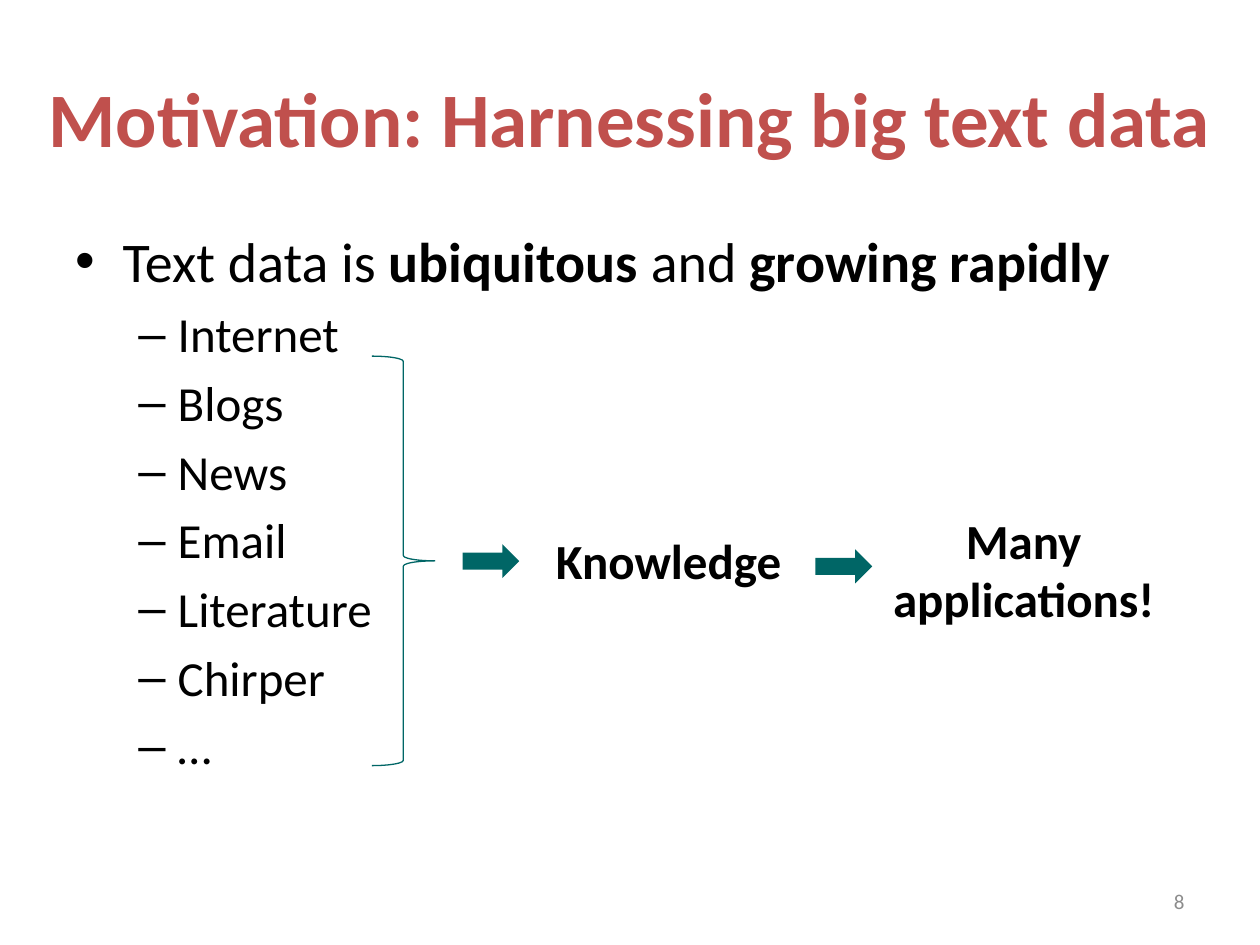
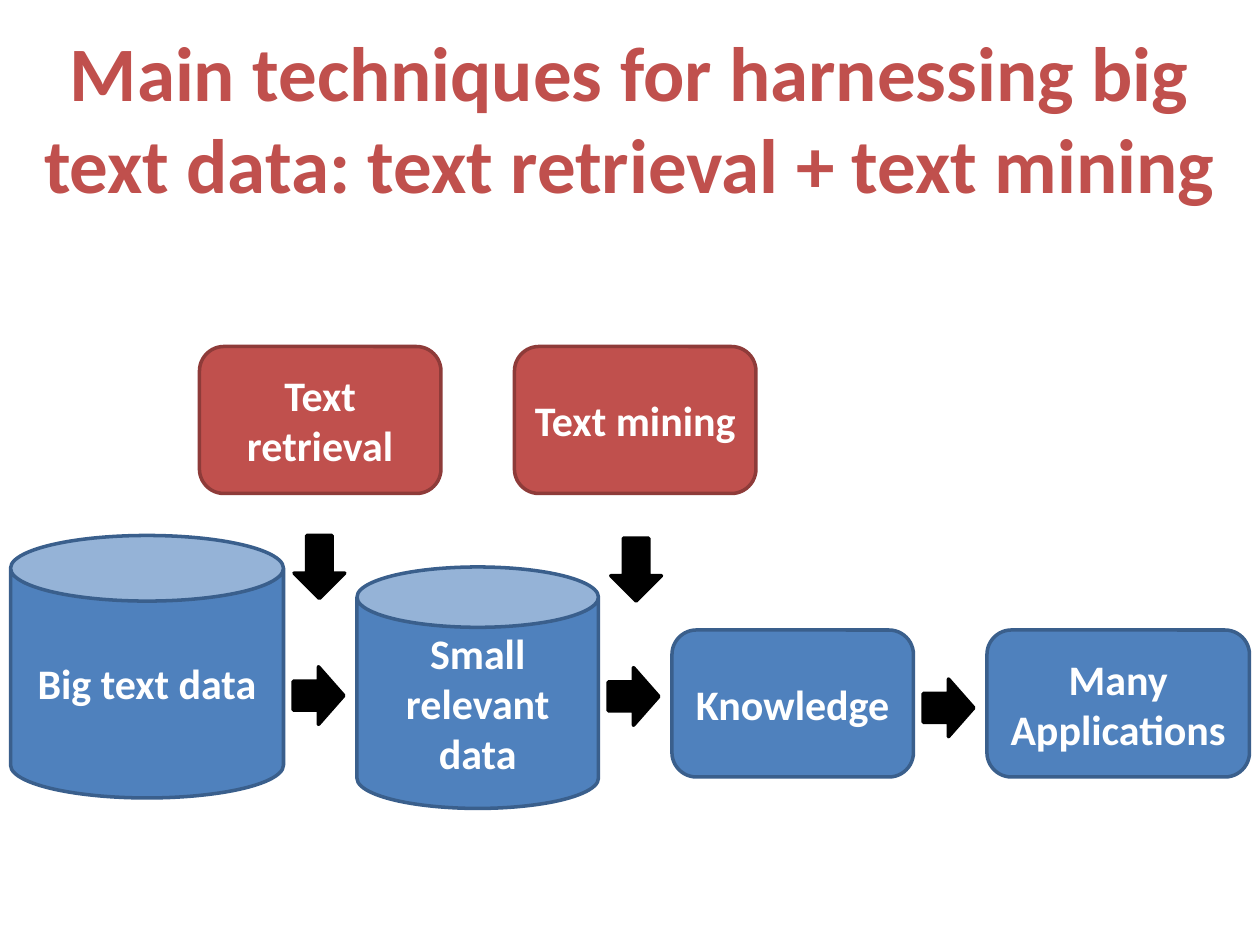
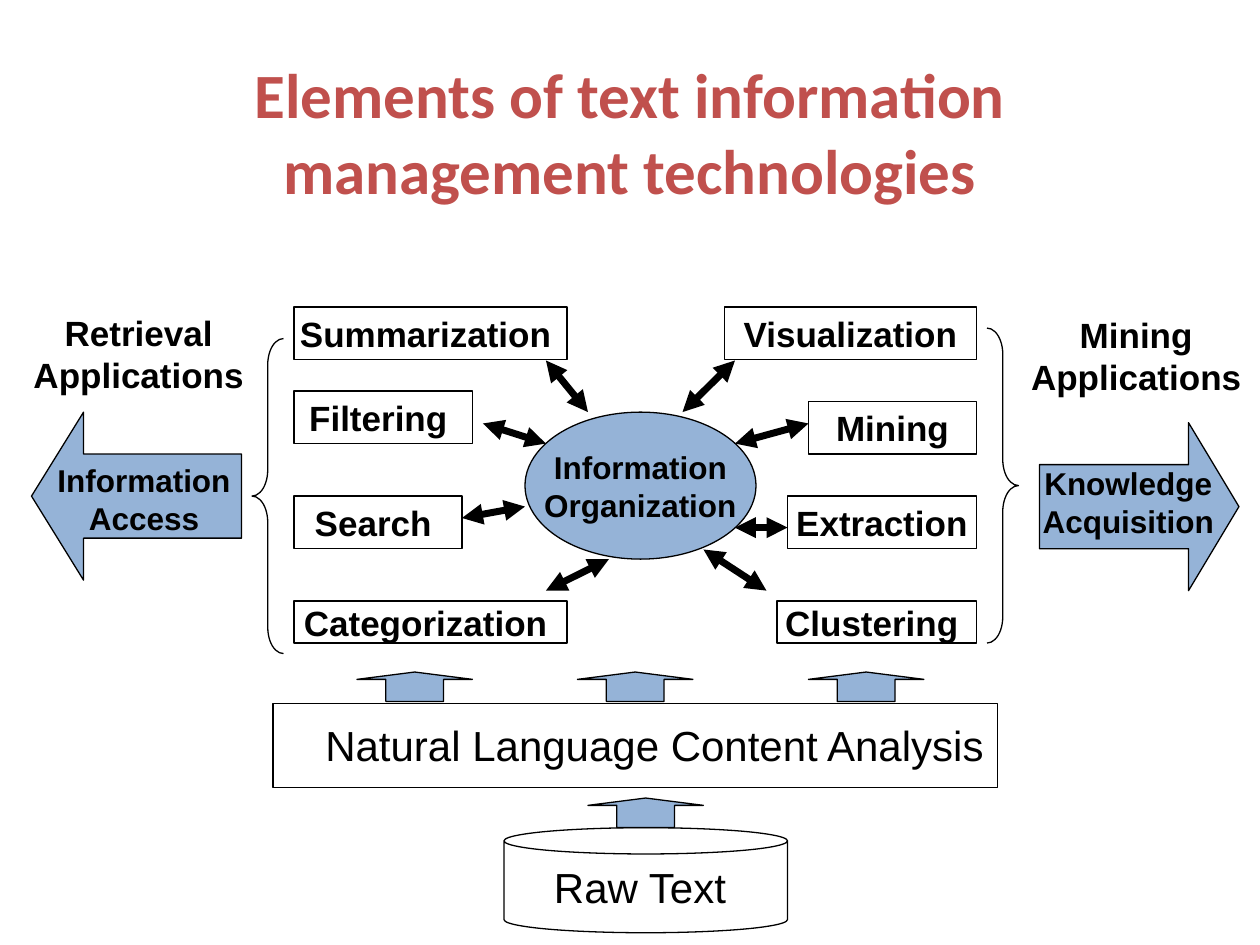
import functools

import lxml.etree
import pptx
import pptx.dml.color
import pptx.enum.shapes
import pptx.enum.text
import pptx.oxml.ns
import pptx.util

Pt = pptx.util.Pt
qn = pptx.oxml.ns.qn
SHAPES = pptx.enum.shapes.MSO_SHAPE
ALIGN = pptx.enum.text.PP_ALIGN
ANCHOR = pptx.enum.text.MSO_ANCHOR

RED, DARK_RED = "C0504D", "8E3B39"
BLUE, DARK_BLUE = "4F81BD", "3A5F8C"
TEAL, BLACK, WHITE, GRAY = "006666", "000000", "FFFFFF", "8C8C8C"


def paint(fill, color, opacity=100):
    if color is None:
        fill.background()
        return
    fill.solid()
    fill.fore_color.rgb = pptx.dml.color.RGBColor.from_string(color)
    if opacity < 100:
        rgb = fill._xPr.find(qn("a:solidFill"))[0]
        lxml.etree.SubElement(rgb, qn("a:alpha"), val=str(opacity * 1000))


def add(slide, box, text="", kind=None, fill=None, opacity=100, line=None, line_width=0.75,
        adjust=(), size=24, font="Calibri", color=BLACK, bold=False, align=ALIGN.CENTER,
        anchor=ANCHOR.MIDDLE, wrap=True):
    frame = [Pt(length) for length in box]
    if kind is None:
        item = slide.shapes.add_textbox(*frame)
    else:
        item = slide.shapes.add_shape(kind, *frame)
        item.shadow.inherit = False
        paint(item.fill, fill, opacity)
        paint(item.line.fill, line)
        if line:
            item.line.width = Pt(line_width)
        for index, value in enumerate(adjust):
            item.adjustments[index] = value
    if text:
        item.text_frame.word_wrap = wrap
        item.text_frame.vertical_anchor = anchor
        for index, words in enumerate(text.split("\n")):
            paragraph = item.text_frame.paragraphs[0] if index == 0 else item.text_frame.add_paragraph()
            paragraph.alignment = align
            for part, piece in enumerate(words.split("*")):
                if piece:
                    run = paragraph.add_run()
                    run.text = piece
                    run.font.name = font
                    run.font.size = Pt(size)
                    run.font.bold = bold or part % 2 == 1
                    paint(run.font.fill, color)
    return item


deck = pptx.Presentation()
deck.slide_width, deck.slide_height = Pt(720), Pt(540)
titles = [
    ("Motivation: Harnessing big text data", (6, 21.6, 708, 90), 44),
    ("Main techniques for harnessing big text data: text retrieval + text mining", (0, 21.6, 720, 90), 44),
    ("Elements of text information management technologies", (36, 30, 648, 90), 36),
]
slides = []
for title, box, size in titles:
    slide = deck.slides.add_slide(deck.slide_layouts[6])
    add(slide, box, title, size=size, color=RED, bold=True)
    slides.append(slide)
motivation, techniques, elements = slides

sources = add(motivation, (36, 126, 648, 356.4),
              "Text data is *ubiquitous* and *growing rapidly*\n"
              "Internet\nBlogs\nNews\nEmail\nLiterature\nChirper\n…",
              size=28, align=ALIGN.LEFT, anchor=ANCHOR.TOP)
for index, paragraph in enumerate(sources.text_frame.paragraphs):
    margin, hanging, bullet, space = (58.5, 22.5, "–", 5.6) if index else (27, 27, "•", 6)
    paragraph.level = min(index, 1)
    paragraph.space_before = Pt(space)
    properties = paragraph._p.get_or_add_pPr()
    properties.set("marL", str(Pt(margin)))
    properties.set("indent", str(-Pt(hanging)))
    lxml.etree.SubElement(properties, qn("a:buFont"), typeface="Arial")
    lxml.etree.SubElement(properties, qn("a:buChar"), char=bullet)
for run in sources.text_frame.paragraphs[0].runs:
    run.font.size = Pt(32)

add(motivation, (516, 500.4, 168, 28.8), "8", size=12, color=GRAY, align=ALIGN.RIGHT)
add(motivation, (310.5, 299.5, 154, 40), "Knowledge", size=28, bold=True,
    align=ALIGN.LEFT, anchor=ANCHOR.TOP)
add(motivation, (498, 288, 174, 75), "Many\napplications!", size=28, bold=True, anchor=ANCHOR.TOP)
add(motivation, (212.5, 203.5, 36, 234), kind=SHAPES.RIGHT_BRACE, line=TEAL)
for left, top in [(264.3, 311), (466, 314)]:
    add(motivation, (left, top, 32.4, 19.4), kind=SHAPES.RIGHT_ARROW, fill=TEAL)

stages = [
    ("Big text data", SHAPES.CAN, (6, 306, 156, 150), BLUE, DARK_BLUE),
    ("Small relevant data", SHAPES.CAN, (204, 324, 138, 138), BLUE, DARK_BLUE),
    ("Knowledge", SHAPES.ROUNDED_RECTANGLE, (384, 360, 138, 84), BLUE, DARK_BLUE),
    ("Many Applications", SHAPES.ROUNDED_RECTANGLE, (564, 360, 150, 84), BLUE, DARK_BLUE),
    ("Text retrieval", SHAPES.ROUNDED_RECTANGLE, (114, 198, 138, 84), RED, DARK_RED),
    ("Text mining", SHAPES.ROUNDED_RECTANGLE, (294, 198, 138, 84), RED, DARK_RED),
]
for label, kind, box, fill, line in stages:
    add(techniques, box, label, kind, fill=fill, line=line, line_width=2, color=WHITE, bold=True)
steps = [
    (SHAPES.RIGHT_ARROW, (167.5, 381, 29, 33)),
    (SHAPES.RIGHT_ARROW, (347.5, 381.5, 29, 33)),
    (SHAPES.RIGHT_ARROW, (527.5, 388, 29, 33)),
    (SHAPES.DOWN_ARROW, (168, 306, 29, 36)),
    (SHAPES.DOWN_ARROW, (349, 307.5, 29, 36)),
]
for kind, box in steps:
    add(techniques, box, kind=kind, fill=BLACK, line=BLACK, line_width=2)

draw = functools.partial(add, elements, font="Arial", line=BLACK, wrap=False)
tint = functools.partial(draw, fill=BLUE, opacity=60)

access_left, mining_right = 168, 558
access_tasks = [("Summarization ", 175.5, 156, 30), ("Filtering ", 223.5, 102, 30),
                ("Search ", 283.5, 96, 30), ("Categorization ", 343.5, 156, 24)]
mining_tasks = [("Visualization", 175.5, 144, 30), ("Mining", 229.5, 96, 30),
                ("Extraction", 283.5, 108, 30), ("Clustering ", 343.5, 114, 24)]
for task, top, width, height in access_tasks:
    draw((access_left, top, width, height), task, SHAPES.RECTANGLE, size=20, bold=True)
for task, top, width, height in mining_tasks:
    draw((mining_right - width, top, width, height), task, SHAPES.RECTANGLE, size=20, bold=True)

draw((288, 473, 162, 60), "Raw Text ", SHAPES.CAN, adjust=[0.25])
draw((156, 402, 414, 48), kind=SHAPES.RECTANGLE)
draw((178, 407.5, 392, 36), "Natural Language Content Analysis")
for left, top in [(336, 456), (204, 384), (330, 384), (462, 384)]:
    tint((left, top, 66, 16.8), kind=SHAPES.UP_ARROW, adjust=[0.5, 0.25])

draw((144, 193.5, 18, 180), kind=SHAPES.LEFT_BRACE, adjust=[0.83, 0.5])
draw((564, 187.5, 18, 180), kind=SHAPES.RIGHT_BRACE, adjust=[0.83, 0.5])
tint((18, 235.5, 120, 96), kind=SHAPES.LEFT_ARROW, adjust=[0.5, 0.31])
tint((594, 241.5, 114, 96), kind=SHAPES.RIGHT_ARROW, adjust=[0.5, 0.3])
applications = [
    ("Retrieval\nApplications", (12, 174.5, 134.5, 55.5), 20),
    ("Mining\nApplications", (582, 175.5, 134.5, 55.5), 20),
    ("Information\nAccess", (25.3, 260, 114, 50.5), 18),
    ("Knowledge\nAcquisition", (588.5, 261.5, 112.5, 50.5), 18),
]
for label, box, size in applications:
    draw(box, label, size=size, bold=True, anchor=ANCHOR.TOP)
tint((300, 235.5, 132, 84), "Information\nOrganization", SHAPES.OVAL, size=18, bold=True)

exchanges = [
    (312, 206, 336, 235.5), (402, 314, 438, 337.5), (276, 242, 312, 253.5), (348, 319.5, 312, 337.5),
    (420, 206, 390, 235.5), (462, 242, 420, 253.5), (420, 301.5, 450, 301.5), (264, 296, 300, 289.5),
]
for ends in exchanges:
    exchange = elements.shapes.add_connector(pptx.enum.shapes.MSO_CONNECTOR.STRAIGHT,
                                             *[Pt(length) for length in ends])
    paint(exchange.line.fill, BLACK)
    exchange.line.width = Pt(4)
    outline = exchange.line._get_or_add_ln()
    for end in ("a:headEnd", "a:tailEnd"):
        lxml.etree.SubElement(outline, qn(end), type="triangle")
    lxml.etree.SubElement(exchange._element.spPr, qn("a:effectLst"))

deck.save("out.pptx")
